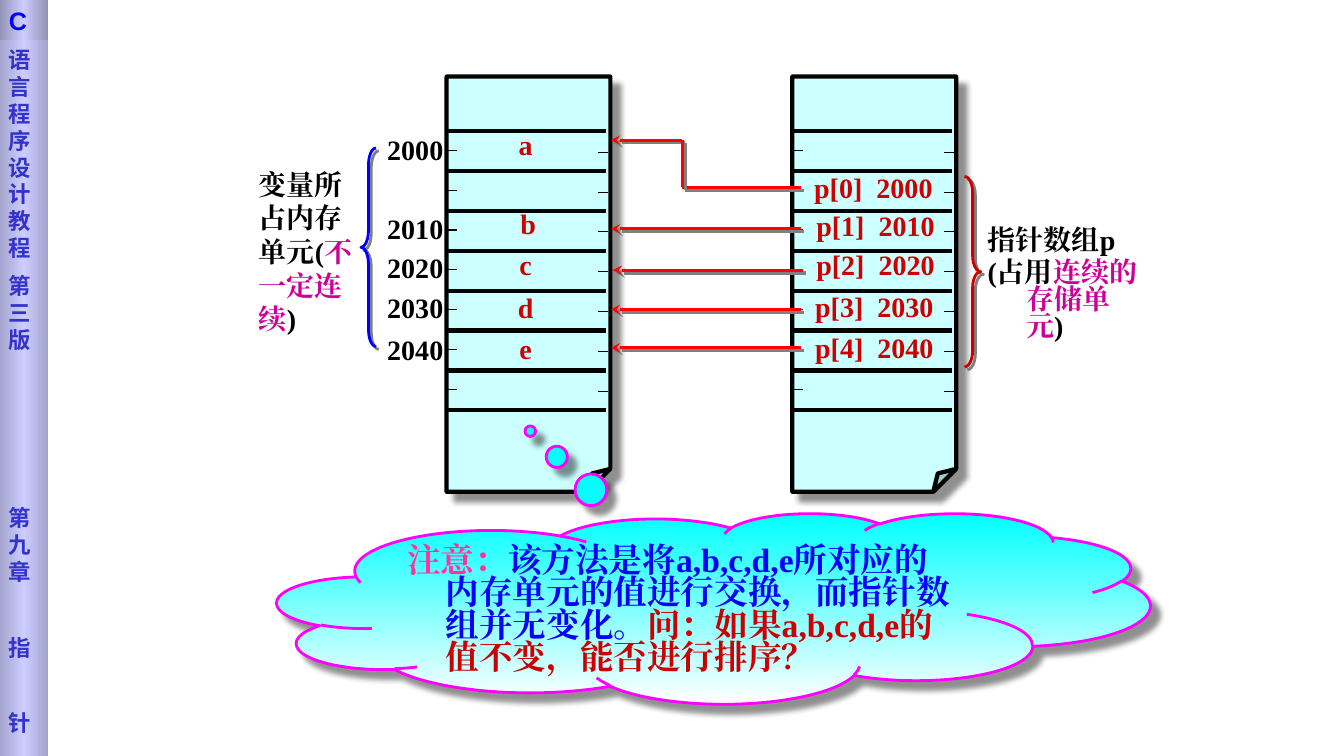
from lxml.etree import SubElement
from pptx import Presentation
from pptx.dml.color import RGBColor
from pptx.enum.shapes import MSO_CONNECTOR, MSO_SHAPE
from pptx.enum.text import MSO_ANCHOR, PP_ALIGN
from pptx.oxml.ns import qn
from pptx.util import Pt

BLACK = RGBColor(0x00, 0x00, 0x00)
GRAY = RGBColor(0x80, 0x80, 0x80)
WHITE = RGBColor(0xFF, 0xFF, 0xFF)
PALE_CYAN = RGBColor(0xCC, 0xFF, 0xFF)
CYAN = RGBColor(0x00, 0xFF, 0xFF)
BLUE = RGBColor(0x00, 0x00, 0xFF)
INDIGO = RGBColor(0x33, 0x33, 0xCC)
RED = RGBColor(0xFF, 0x00, 0x00)
DARK_RED = RGBColor(0xCC, 0x00, 0x00)
MAGENTA = RGBColor(0xFF, 0x00, 0xFF)
PURPLE = RGBColor(0xCC, 0x00, 0x99)
PINK = RGBColor(0xFF, 0x33, 0x99)
LAVENDER = RGBColor(0xCC, 0xCC, 0xFF)
BAR_EDGE = RGBColor(0xA4, 0xA4, 0xCD)
CAP_EDGE = RGBColor(0x92, 0x92, 0xB6)

SERIF = "Times New Roman"
# Shadow: colour, opacity in percent, blur and distance in points
SOFT_SHADOW = (BLACK, 43, 4, 8.4)
HARD_SHADOW = (GRAY, 100, 0, 2.8)

BLOCK_TOP, BLOCK_WIDTH, BLOCK_HEIGHT = 54.7, 117, 296.6
ROW_TOP, ROW_STEP, ROW_LINES = 93.6, 28.5, 8
VARIABLES_LEFT, POINTERS_LEFT = 319, 566


def set_shadow(item, shadow=None):
    """Replace the theme's shadow by a chosen one, or by none."""
    effects = SubElement(item._element.spPr, qn("a:effectLst"))
    if shadow:
        color, opacity, blur, distance = shadow
        outer = SubElement(effects, qn("a:outerShdw"), blurRad=str(Pt(blur)),
                           dist=str(Pt(distance)), dir="2700000", algn="ctr", rotWithShape="0")
        tint = SubElement(outer, qn("a:srgbClr"), val=str(color))
        SubElement(tint, qn("a:alpha"), val=str(opacity * 1000))


def set_gradient(shape, angle, colors):
    """Fill with evenly spaced colours."""
    shape.fill.gradient()
    shape.fill.gradient_angle = angle
    stops = shape._element.spPr.find(qn("a:gradFill")).find(qn("a:gsLst"))
    for stop in list(stops):
        stops.remove(stop)
    for index, color in enumerate(colors):
        position = index * 100000 // (len(colors) - 1)
        stop = SubElement(stops, qn("a:gs"), pos=str(position))
        SubElement(stop, qn("a:srgbClr"), val=str(color))


def set_guides(shape, guides):
    """Set the shape's adjustment values by guide name."""
    values = shape._element.spPr.find(qn("a:prstGeom")).get_or_add_avLst()
    for guide in list(values):
        values.remove(guide)
    for name, value in guides.items():
        SubElement(values, qn("a:gd"), name=name, fmla=f"val {round(value * 100000)}")


def add_figure(shapes, kind, frame, fill=None, line=None, weight=2, shadow=None,
               guides=None, gradient=None):
    figure = shapes.add_shape(kind, *(Pt(value) for value in frame))
    if guides:
        set_guides(figure, guides)
    if gradient:
        set_gradient(figure, *gradient)
    elif fill:
        figure.fill.solid()
        figure.fill.fore_color.rgb = fill
    else:
        figure.fill.background()
    if line:
        figure.line.color.rgb = line
        figure.line.width = Pt(weight)
    else:
        figure.line.fill.background()
    set_shadow(figure, shadow)
    return figure


def add_line(shapes, start, end, color=BLACK, weight=0.75, arrow=False, shadow=None):
    points = (Pt(value) for value in (*start, *end))
    line = shapes.add_connector(MSO_CONNECTOR.STRAIGHT, *points)
    line.line.color.rgb = color
    line.line.width = Pt(weight)
    if arrow:
        SubElement(line._element.spPr.find(qn("a:ln")), qn("a:tailEnd"), type="stealth")
    set_shadow(line, shadow)


def add_paragraph(text_frame, runs, size=20, font=SERIF, align=PP_ALIGN.LEFT,
                  before=0, spacing=None, hanging=0):
    first = text_frame.paragraphs[0]
    para = text_frame.add_paragraph() if first.runs else first
    para.alignment = align
    para.space_before = Pt(before)
    if spacing:
        para.line_spacing = spacing
    if hanging:
        properties = para._p.get_or_add_pPr()
        properties.set("marL", str(Pt(hanging)))
        properties.set("indent", str(-Pt(hanging)))
    for text, color in runs:
        span = para.add_run()
        span.text = text
        span.font.size = Pt(size)
        span.font.bold = True
        span.font.name = font
        span.font.color.rgb = color
        SubElement(span._r.get_or_add_rPr(), qn("a:ea"), typeface=font)


def add_label(shapes, frame, paragraphs, wrap=True, **style):
    box = shapes.add_textbox(*(Pt(value) for value in frame))
    box.text_frame.word_wrap = wrap
    for runs in paragraphs:
        add_paragraph(box.text_frame, runs, **style)


def add_memory_block(shapes, left):
    """Folded page with row rules and edge ticks."""
    add_figure(shapes, MSO_SHAPE.FOLDED_CORNER, (left, BLOCK_TOP, BLOCK_WIDTH, BLOCK_HEIGHT),
               PALE_CYAN, BLACK, 3, SOFT_SHADOW, {"adj": 0.14})
    for row in range(ROW_LINES):
        y = ROW_TOP + row * ROW_STEP
        add_line(shapes, (left, y), (left + 114, y), weight=3)
    for row in range(ROW_LINES - 1):
        for offset, drop in ((0, 13.7), (108, 15.1)):
            y = ROW_TOP + row * ROW_STEP + drop
            add_line(shapes, (left + offset, y), (left + offset + 7.6, y))


def add_variables(shapes):
    add_memory_block(shapes, VARIABLES_LEFT)
    cells = (("2000", 91.4, "a", 326.2, 87.8), ("2010", 147.6, "b", 327.9, 144),
             ("2020", 175.7, "c", 326.2, 173.5), ("2030", 203.8, "d", 326.2, 203.8),
             ("2040", 234.2, "e", 326.2, 233.3))
    for address, address_top, name, left, top in cells:
        add_label(shapes, (269.3, address_top, 54.7, 31.5), [[(address, BLACK)]],
                  wrap=False, align=PP_ALIGN.CENTER)
        add_label(shapes, (left, top, 98.6, 31), [[(name, DARK_RED)]], align=PP_ALIGN.CENTER)
    add_figure(shapes, MSO_SHAPE.LEFT_BRACE, (257.8, 105.8, 10.8, 141.8), line=BLUE,
               shadow=HARD_SHADOW, guides={"adj1": 1.11, "adj2": 0.5})
    add_label(shapes, (177.8, 115.9, 90.7, 127.4),
              [[("变量所占内存单元(", BLACK), ("不一定连续", PURPLE), (")", BLACK)]])


def add_pointers(shapes):
    add_memory_block(shapes, POINTERS_LEFT)
    cells = ((562.3, 118.1), (563.8, 145.4), (563.8, 173.5), (563, 203), (563, 232.6))
    for index, (left, top) in enumerate(cells):
        text = f"p[{index}]  {2000 + 10 * index}"
        add_label(shapes, (left, top, 123.1, 31), [[(text, DARK_RED)]], align=PP_ALIGN.CENTER)
    add_figure(shapes, MSO_SHAPE.RIGHT_BRACE, (689, 126, 11.5, 136.1), line=DARK_RED,
               shadow=HARD_SHADOW, guides={"adj1": 1, "adj2": 0.5})
    add_label(shapes, (698.4, 159.8, 127.4, 69.8),
              [[("指针数组p", BLACK)],
               [("(占用", BLACK), ("连续的存储单元", PURPLE), (")", BLACK)]],
              before=4, spacing=0.8, hanging=27.4)


def add_arrows(shapes):
    style = dict(color=RED, weight=2.25, shadow=HARD_SHADOW)
    # Stepped arrow from p[0] to a
    bend_high, bend_low = (487.4, 100.1), (487.4, 133.9)
    add_line(shapes, bend_high, (436.3, 100.1), arrow=True, **style)
    add_line(shapes, (572.4, 133.9), bend_low, **style)
    add_line(shapes, bend_high, bend_low, **style)
    # Level arrows from p[1]..p[4] to b..e
    for right, y in ((572.4, 163.4), (573.8, 193), (572.4, 221), (572.4, 248.4)):
        add_line(shapes, (right, y), (right - 136.1, y), arrow=True, **style)


def add_cloud(shapes):
    cloud = add_figure(shapes, MSO_SHAPE.CLOUD_CALLOUT, (198, 366.5, 623.5, 136.1), line=MAGENTA,
                       shadow=SOFT_SHADOW, guides={"adj1": -0.21, "adj2": -0.93},
                       gradient=(270, (CYAN, WHITE)))
    cloud.text_frame.vertical_anchor = MSO_ANCHOR.TOP
    add_paragraph(cloud.text_frame,
                  [("注意：", PINK),
                   ("该方法是将a,b,c,d,e所对应的内存单元的值进行交换，而指针数组并无变化。", BLUE),
                   ("问：如果a,b,c,d,e的值不变，能否进行排序？", DARK_RED)],
                  size=24, spacing=0.8, hanging=27.4)


def add_sidebar(shapes):
    bar = add_figure(shapes, MSO_SHAPE.RECTANGLE, (-0.7, 0, 35.3, 540),
                     gradient=(0, (BAR_EDGE, LAVENDER, BAR_EDGE)))
    bar.text_frame.vertical_anchor = MSO_ANCHOR.TOP
    bar.text_frame.margin_top = Pt(33)
    for text, gap in (("语言程序设计教程", 0), ("第三版", 8), ("第九章", 108),
                      ("指", 35), ("针", 35)):
        add_paragraph(bar.text_frame, [(text, INDIGO)], 16, "DejaVu Sans", before=gap)
    cap = add_figure(shapes, MSO_SHAPE.RECTANGLE, (-0.7, 0, 35.3, 28.8),
                     gradient=(0, (CAP_EDGE, LAVENDER, CAP_EDGE)))
    cap.text_frame.vertical_anchor = MSO_ANCHOR.TOP
    add_paragraph(cap.text_frame, [("C", BLUE)], 18, "Arial")


def main():
    deck = Presentation()
    deck.slide_width, deck.slide_height = Pt(960), Pt(540)
    page = deck.slides.add_slide(deck.slide_layouts[6])
    for add_part in (add_variables, add_pointers, add_arrows, add_cloud, add_sidebar):
        add_part(page.shapes)
    deck.save("out.pptx")


if __name__ == "__main__":
    main()
